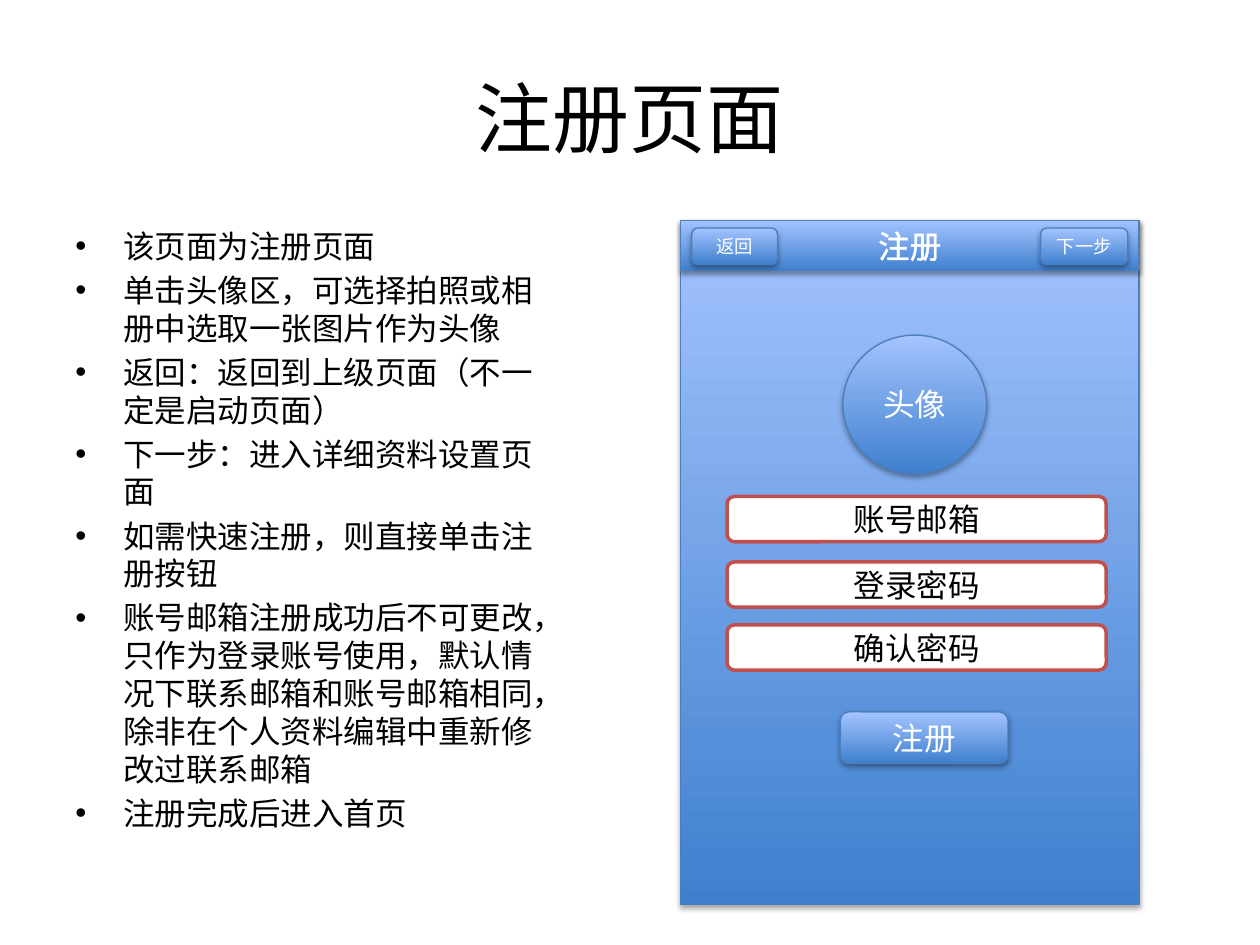
from lxml.etree import SubElement
from pptx import Presentation
from pptx.dml.color import RGBColor
from pptx.enum.shapes import MSO_SHAPE as SHAPE
from pptx.enum.text import MSO_ANCHOR, PP_ALIGN
from pptx.oxml import parse_xml
from pptx.oxml.ns import nsdecls, qn
from pptx.util import Inches, Pt

TITLE = "注册页面"
NOTES = [
    "该页面为注册页面",
    "单击头像区，可选择拍照或相册中选取一张图片作为头像",
    "返回：返回到上级页面（不一定是启动页面）",
    "下一步：进入详细资料设置页面",
    "如需快速注册，则直接单击注册按钮",
    "账号邮箱注册成功后不可更改，只作为登录账号使用，默认情况下联系邮箱和账号邮箱相同，"
    "除非在个人资料编辑中重新修改过联系邮箱",
    "注册完成后进入首页",
]
HEADER = "注册"
FIELDS = [("账号邮箱", 3.94), ("登录密码", 4.46), ("确认密码", 4.96)]

BLACK = RGBColor(0x00, 0x00, 0x00)
WHITE = RGBColor(0xFF, 0xFF, 0xFF)
BLUE_DARK = RGBColor(0x3F, 0x80, 0xCE)
BLUE_LIGHT = RGBColor(0xA4, 0xC4, 0xFF)
BLUE_LINE = RGBColor(0x4B, 0x7E, 0xBC)
RED = RGBColor(0xC0, 0x50, 0x4D)

LEFT, TOP = 0.5, 1.75
PHONE_X, PHONE_W, PHONE_H = 5.4, 3.64, 5.43
BAR_H = 0.4
FIELD_X, FIELD_W, FIELD_H = 5.77, 3.01, 0.36
INDENT = Inches(0.38)

# Blue parts of the phone: shape, box, text, size
PHONE = [
    (SHAPE.RECTANGLE, (PHONE_X, TOP, PHONE_W, PHONE_H), "", 18),
    (SHAPE.RECTANGLE, (PHONE_X, TOP, PHONE_W, BAR_H), HEADER, 18),
    (SHAPE.ROUNDED_RECTANGLE, (5.49, 1.81, 0.68, 0.29), "返回", 10.5),
    (SHAPE.ROUNDED_RECTANGLE, (8.26, 1.81, 0.69, 0.29), "下一步", 10.5),
    (SHAPE.OVAL, (6.69, 2.66, 1.14, 1.1), "头像", 18),
    (SHAPE.ROUNDED_RECTANGLE, (6.67, 5.65, 1.33, 0.41), "注册", 18),
]


def write(p, text, size, color, font="Calibri"):
    r = p.add_run()
    r.text = text
    for name, value in {"name": font, "size": Pt(size)}.items():
        setattr(r.font, name, value)
    r.font.color.rgb = color
    return r


def add_part(shapes, kind, box, text, size, color, line, width, font="Calibri"):
    sp = shapes.add_shape(kind, *map(Inches, box))
    sp.shadow.inherit = False
    sp.line.color.rgb = line
    sp.line.width = Pt(width)
    tf = sp.text_frame
    tf.vertical_anchor = MSO_ANCHOR.MIDDLE
    tf.margin_top = tf.margin_bottom = 0
    tf.margin_left = tf.margin_right = 0
    p = tf.paragraphs[0]
    p.alignment = PP_ALIGN.CENTER
    if text:
        write(p, text, size, color, font)
    return sp


def make_glossy(sp):
    """Fill with the upward blue gradient and cast a soft shadow below."""
    sp.fill.gradient()
    sp.fill.gradient_angle = 90
    for stop, color in zip(sp.fill.gradient_stops, (BLUE_DARK, BLUE_LIGHT)):
        stop.color.rgb = color
    effects = sp._element.spPr.find(qn("a:effectLst"))
    effects.append(parse_xml(
        f'<a:outerShdw {nsdecls("a")} blurRad="{Pt(3.1)}" dist="{Pt(1.8)}" '
        'dir="5400000" rotWithShape="0"><a:srgbClr val="000000">'
        '<a:alpha val="35000"/></a:srgbClr></a:outerShdw>'))


def outline_text(r, color, width):
    r._r.get_or_add_rPr().insert(0, parse_xml(
        f'<a:ln {nsdecls("a")} w="{Pt(width)}"><a:solidFill>'
        f'<a:srgbClr val="{color}"/></a:solidFill></a:ln>'))


def add_bullet(p):
    pPr = p._p.get_or_add_pPr()
    pPr.set("marL", str(INDENT))
    pPr.set("indent", str(-INDENT))
    SubElement(pPr, qn("a:buFont")).set("typeface", "Arial")
    SubElement(pPr, qn("a:buChar")).set("char", "•")


def add_title(slide):
    title = slide.shapes.title
    box = dict(left=LEFT, top=0.3, width=9, height=1.25)
    for name, value in box.items():
        setattr(title, name, Inches(value))
    tf = title.text_frame
    tf.vertical_anchor = MSO_ANCHOR.MIDDLE
    p = tf.paragraphs[0]
    p.alignment = PP_ALIGN.CENTER
    write(p, TITLE, 44, BLACK)


def add_notes_list(slide):
    tf = slide.shapes.add_textbox(*map(Inches, (LEFT, TOP, 3.9, 4.95))).text_frame
    tf.word_wrap = True
    for i, text in enumerate(NOTES):
        p = tf.add_paragraph() if i else tf.paragraphs[0]
        p.space_before = Pt(3.6)
        add_bullet(p)
        write(p, text, 18, BLACK)


def add_phone(slide):
    shapes = slide.shapes.add_group_shape().shapes
    for kind, box, text, size in PHONE:
        is_bar = kind == SHAPE.RECTANGLE and text == HEADER
        font = "Noto Sans CJK SC" if is_bar else "Calibri"
        sp = add_part(shapes, kind, box, text, size, WHITE, BLUE_LINE, 0.75, font)
        make_glossy(sp)
        if is_bar:
            outline_text(sp.text_frame.paragraphs[0].runs[0], WHITE, 1.45)
    for text, y in FIELDS:
        sp = add_part(shapes, SHAPE.ROUNDED_RECTANGLE, (FIELD_X, y, FIELD_W, FIELD_H),
                      text, 18, BLACK, RED, 2)
        sp.fill.solid()
        sp.fill.fore_color.rgb = WHITE


def main():
    prs = Presentation()
    prs.slide_width, prs.slide_height = Inches(10), Inches(7.5)
    slide = prs.slides.add_slide(prs.slide_layouts[5])
    add_title(slide)
    add_notes_list(slide)
    add_phone(slide)
    prs.save("out.pptx")


if __name__ == "__main__":
    main()
